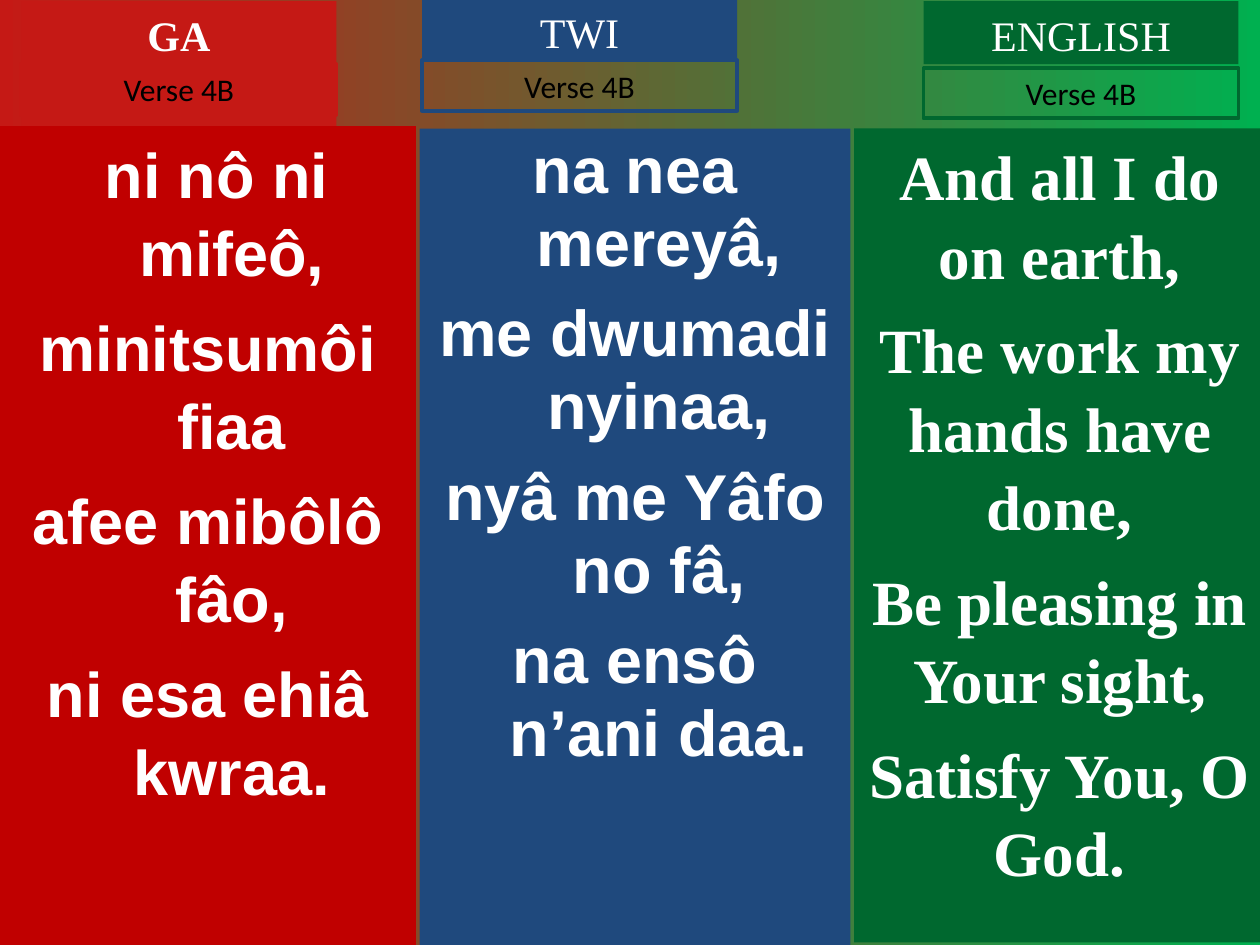
from lxml import etree
from pptx import Presentation
from pptx.dml.color import RGBColor
from pptx.enum.text import MSO_ANCHOR, MSO_AUTO_SIZE, PP_ALIGN
from pptx.oxml.ns import qn
from pptx.util import Inches, Pt

CENTER = PP_ALIGN.CENTER
TOP = MSO_ANCHOR.TOP
GROW, FIXED = MSO_AUTO_SIZE.SHAPE_TO_FIT_TEXT, MSO_AUTO_SIZE.NONE
SANS, SERIF, LABEL = "Arial", "Times New Roman", "Calibri"
WHITE, BLACK = "FFFFFF", "000000"
RED, DARK_RED, BLUE, GREEN = "C51915", "C00000", "1F497D", "00682F"
HEAD_W = 2.5


def rgb(value):
    return RGBColor.from_string(value)


def write(tf, lines, font, size, color=WHITE, bold=False, hang=0, before=0,
          spacing=1.0, auto_size=FIXED):
    tf.word_wrap = True
    tf.auto_size = auto_size
    tf.vertical_anchor = TOP
    for i, line in enumerate(lines):
        p = tf.paragraphs[0] if i == 0 else tf.add_paragraph()
        pPr = p._p.get_or_add_pPr()
        pPr.set("marL", str(Inches(hang)))
        pPr.set("indent", str(-Inches(hang)))
        etree.SubElement(pPr, qn("a:buNone"))
        p.alignment = CENTER
        p.line_spacing = spacing
        p.space_before = Pt(before if i else 0)
        r = p.add_run()
        r.text = line
        r.font.name, r.font.size, r.font.bold = font, Pt(size), bold
        r.font.color.rgb = rgb(color)


class HymnSlide:
    def __init__(self, prs, layout):
        self.s = prs.slides.add_slide(prs.slide_layouts[layout])

    def background(self, start, end):
        fill = self.s.background.fill
        fill.gradient()
        fill.gradient_angle = 0
        for stop, color in zip(fill.gradient_stops, (start, end)):
            stop.color.rgb = rgb(color)

    def box(self, at, placeholder=None):
        """Place the given placeholder, or a new text box, at the given inches."""
        lengths = [Inches(v) for v in at]
        if placeholder is None:
            return self.s.shapes.add_textbox(*lengths)
        sp = self.s.placeholders[placeholder]
        sp.left, sp.top, sp.width, sp.height = lengths
        return sp

    def panel(self, at, fill, lines, placeholder=None, **style):
        sp = self.box(at, placeholder)
        sp.fill.solid()
        sp.fill.fore_color.rgb = rgb(fill)
        write(sp.text_frame, lines, **style)

    def heading(self, left, top, fill, text, placeholder=None, bold=False):
        self.panel((left, top, HEAD_W, 0.5), fill, [text], placeholder,
                   font=SERIF, size=24, bold=bold, spacing=1.04, auto_size=GROW)

    def verse_label(self, left, top, color, text):
        sp = self.box((left, top, HEAD_W, 0.4))
        sp.line.color.rgb = rgb(color)
        sp.line.width = Pt(2.25)
        write(sp.text_frame, [text], LABEL, 18, BLACK, auto_size=GROW)


def main():
    prs = Presentation()
    prs.slide_width, prs.slide_height = Inches(10), Inches(7.5)
    slide = HymnSlide(prs, 3)  # Two Content
    slide.background(RED, "00B050")

    slide.panel((0, 1, 3.3, 6.5), DARK_RED,
                [" ni nô ni mifeô,", "minitsumôi fiaa", "afee mibôlô fâo,",
                 "ni esa ehiâ kwraa."],
                placeholder=1, font=SANS, size=36, bold=True, hang=0.38,
                before=9, spacing=1.04)
    slide.panel((3.33, 1.02, 3.42, 6.48), BLUE,
                ["na nea mereyâ,", "me dwumadi nyinaa,", "nyâ me Yâfo no fâ,",
                 "na ensô n’ani daa."],
                placeholder=2, font=SANS, size=37, bold=True, hang=0.38,
                before=10, spacing=0.94)
    slide.panel((6.78, 1.02, 3.26, 6.46), GREEN,
                ["And all I do on earth,", "The work my hands have done,",
                 "Be pleasing in Your sight,", "Satisfy You, O God."],
                font=SERIF, size=36, bold=True, before=9, spacing=1.04)

    slide.heading(0.17, 0.01, RED, "GA", placeholder=0, bold=True)
    slide.heading(3.35, -0.01, BLUE, "TWI")
    slide.heading(7.33, 0.01, GREEN, "ENGLISH")
    for left, top, color in ((0.17, 0.51, RED), (3.35, 0.48, BLUE),
                             (7.33, 0.54, GREEN)):
        slide.verse_label(left, top, color, "Verse 4B")

    for sp in list(slide.s.placeholders):
        if not sp.text_frame.text:
            sp.element.getparent().remove(sp.element)
    prs.save("out.pptx")


if __name__ == "__main__":
    main()
